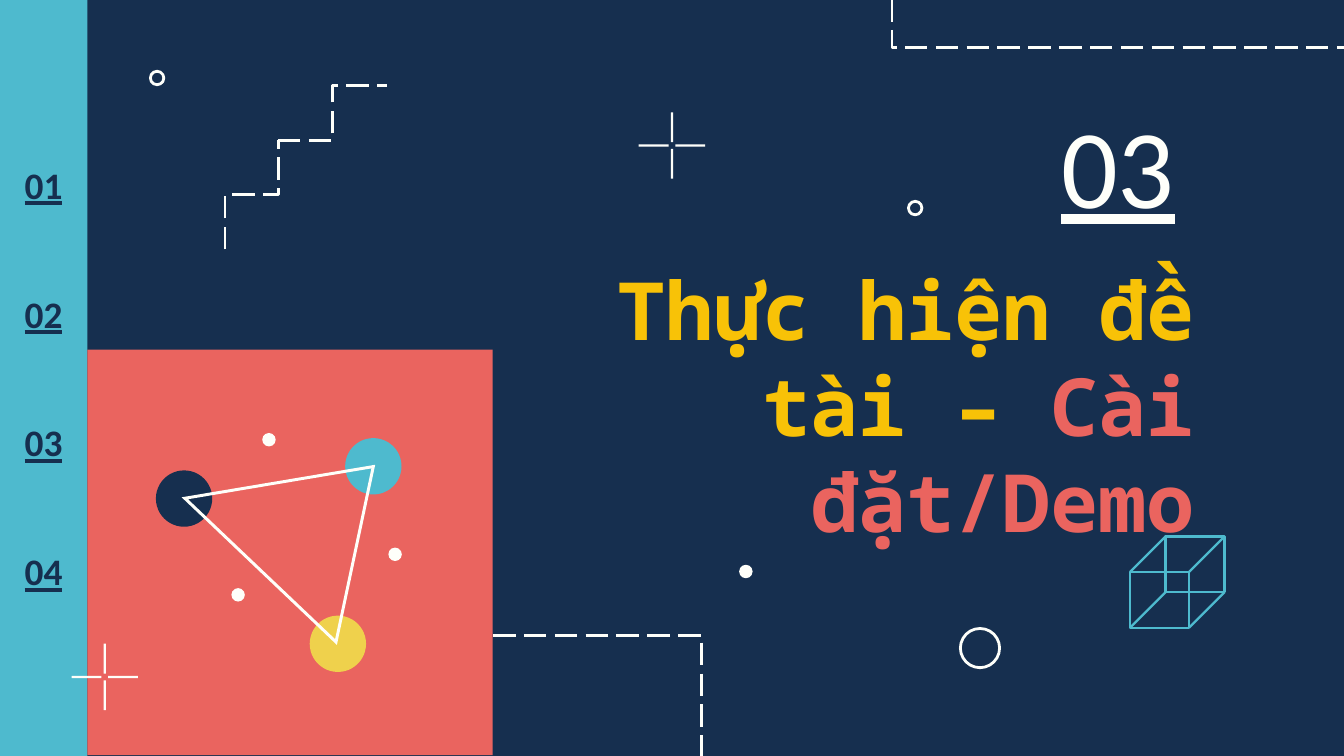
import pptx
import pptx.util
import pptx.dml.color
import pptx.enum.dml
import pptx.enum.shapes
import pptx.enum.text
import pptx.oxml.ns
import lxml.etree

Pt = pptx.util.Pt
qn = pptx.oxml.ns.qn
KIND = pptx.enum.shapes.MSO_SHAPE
LINK = pptx.enum.shapes.MSO_CONNECTOR
ALIGN = pptx.enum.text.PP_ALIGN
ANCHOR = pptx.enum.text.MSO_ANCHOR

NAVY, TEAL, CORAL, WHITE = "162F4F", "4EBACE", "EA645F", "FEFFFA"
GOLD, YELLOW = "F8C207", "EFD14C"

SECTION = "03"
TITLE = [("Thực hiện đề tài – ", GOLD), ("Cài đặt/Demo", CORAL)]
NAVIGATION = ["01", "02", "03", "04"]

PANELS = [(0, 0, 46.8, 405, TEAL), (46.8, 187.4, 217.2, 217.2, CORAL)]
CROSSES = [(56.2, 362.7), (360, 78)]
RINGS = [(84.2, 41.8, 7.2), (490.3, 111.5, 7.2), (525, 347.2, 21)]
DOTS = [(144.1, 235.6), (127.6, 318.7), (211.7, 297), (399.6, 306.2)]
NODES = [(200, 249.8, TEAL), (98.6, 267.1, NAVY), (181, 344.9, YELLOW)]
TRIANGLE = [(199.9, 250.1), (98.6, 267.1), (180.4, 344.5)]
ELBOWS = [
    (478.3, 0, 720, 25.6, -0.002, 0),
    (105.8, 90, 164.1, 118.8, 0.5, 270),
    (149, 75.3, 207.4, 45.8, 0.5, 0),
    (264.2, 340.3, 376.1, 407, 0.998, 0),
]
CUBE = {"left": 605.4, "top": 306.4, "width": 31.6, "height": 29.9, "depth": 19}


def colour(value):
    return pptx.dml.color.RGBColor.from_string(value)


def paint(item, fill=None, line=None, weight=1.5):
    item.shadow.inherit = False
    if fill:
        item.fill.solid()
        item.fill.fore_color.rgb = colour(fill)
    else:
        item.fill.background()
    if line:
        item.line.color.rgb = colour(line)
        item.line.width = Pt(weight)
    else:
        item.line.fill.background()


def add_box(kind, left, top, width, height, **style):
    box = page.shapes.add_shape(kind, Pt(left), Pt(top), Pt(width), Pt(height))
    paint(box, **style)


def add_circle(x, y, size, **style):
    add_box(KIND.OVAL, x - size / 2, y - size / 2, size, size, **style)


def add_link(kind, x1, y1, x2, y2, line, weight):
    link = page.shapes.add_connector(kind, Pt(x1), Pt(y1), Pt(x2), Pt(y2))
    link.line.color.rgb = colour(line)
    link.line.width = Pt(weight)
    lxml.etree.SubElement(link._element.spPr, qn("a:effectLst"))
    return link


def add_elbow(x1, y1, x2, y2, bend, turn):
    link = add_link(LINK.ELBOW, x1, y1, x2, y2, WHITE, 1.5)
    link.line.dash_style = pptx.enum.dml.MSO_LINE.LONG_DASH
    properties = link._element.spPr
    if turn:
        properties.find(qn("a:xfrm")).set("rot", str(turn * 60000))
    guides = properties.find(qn("a:prstGeom")).find(qn("a:avLst"))
    lxml.etree.SubElement(guides, qn("a:gd"), name="adj1", fmla=f"val {round(bend * 100000)}")


def add_cross(x, y):
    arm, gap, thick = 16, 1.8, 1.2
    for start in (-gap - arm, gap):
        add_box(KIND.RECTANGLE, x - thick / 2, y + start, thick, arm, fill=WHITE)
        add_box(KIND.RECTANGLE, x + start, y - thick / 2, arm, thick, fill=WHITE)


def add_cube(left, top, width, height, depth):
    for shift in (0, depth):
        add_box(KIND.RECTANGLE, left + shift, top - shift, width, height, line=TEAL, weight=1.2)
    for x in (left, left + width):
        for y in (top, top + height):
            add_link(LINK.STRAIGHT, x, y, x + depth, y - depth, TEAL, 1.2)


def add_text(left, top, width, height, spans, size, face, align, anchor, bold=False, underline=False):
    box = page.shapes.add_textbox(Pt(left), Pt(top), Pt(width), Pt(height))
    frame = box.text_frame
    frame.word_wrap = True
    frame.vertical_anchor = anchor
    frame.margin_left = frame.margin_right = frame.margin_top = frame.margin_bottom = Pt(7.2)
    para = frame.paragraphs[0]
    para.alignment = align
    para.font.size = Pt(size)
    para.font.name = face
    para.font.bold = bold
    para.font.underline = underline
    for text, tint in spans:
        span = para.add_run()
        span.text = text
        span.font.color.rgb = colour(tint)
    return frame


deck = pptx.Presentation()
deck.slide_width, deck.slide_height = Pt(720), Pt(405)
page = deck.slides.add_slide(deck.slide_layouts[6])
page.background.fill.solid()
page.background.fill.fore_color.rgb = colour(NAVY)

for left, top, width, height, tint in PANELS:
    add_box(KIND.RECTANGLE, left, top, width, height, fill=tint)

title = add_text(256.3, 128.2, 391, 118.8, TITLE, 43, "Noto Sans Mono",
                 ALIGN.RIGHT, ANCHOR.TOP, bold=True)
title.margin_top = Pt(11.4)
title.paragraphs[0].line_spacing = Pt(51.4)
add_text(559.4, 35.3, 77, 104.4, [(SECTION, WHITE)], 60, "Calibri",
         ALIGN.RIGHT, ANCHOR.MIDDLE, underline=True)
for index, label in enumerate(NAVIGATION):
    add_text(0, 79.2 + 69.1 * index, 46.8, 38.9, [(label, NAVY)], 20, "Calibri",
             ALIGN.CENTER, ANCHOR.MIDDLE, bold=True, underline=True)

add_cube(**CUBE)
for elbow in ELBOWS:
    add_elbow(*elbow)
for x, y, tint in NODES:
    add_circle(x, y, 30.2, fill=tint)
outline = page.shapes.build_freeform(*TRIANGLE[0], scale=Pt(1))
outline.add_line_segments(TRIANGLE[1:], close=True)
triangle = outline.convert_to_shape()
paint(triangle, line=WHITE, weight=1.6)
lxml.etree.SubElement(triangle._element.spPr.find(qn("a:ln")), qn("a:miter"), lim="800000")
for x, y in DOTS:
    add_circle(x, y, 7.2, fill=WHITE)
for x, y, size in RINGS:
    add_circle(x, y, size, line=WHITE)
for cross in CROSSES:
    add_cross(*cross)

deck.save("out.pptx")
